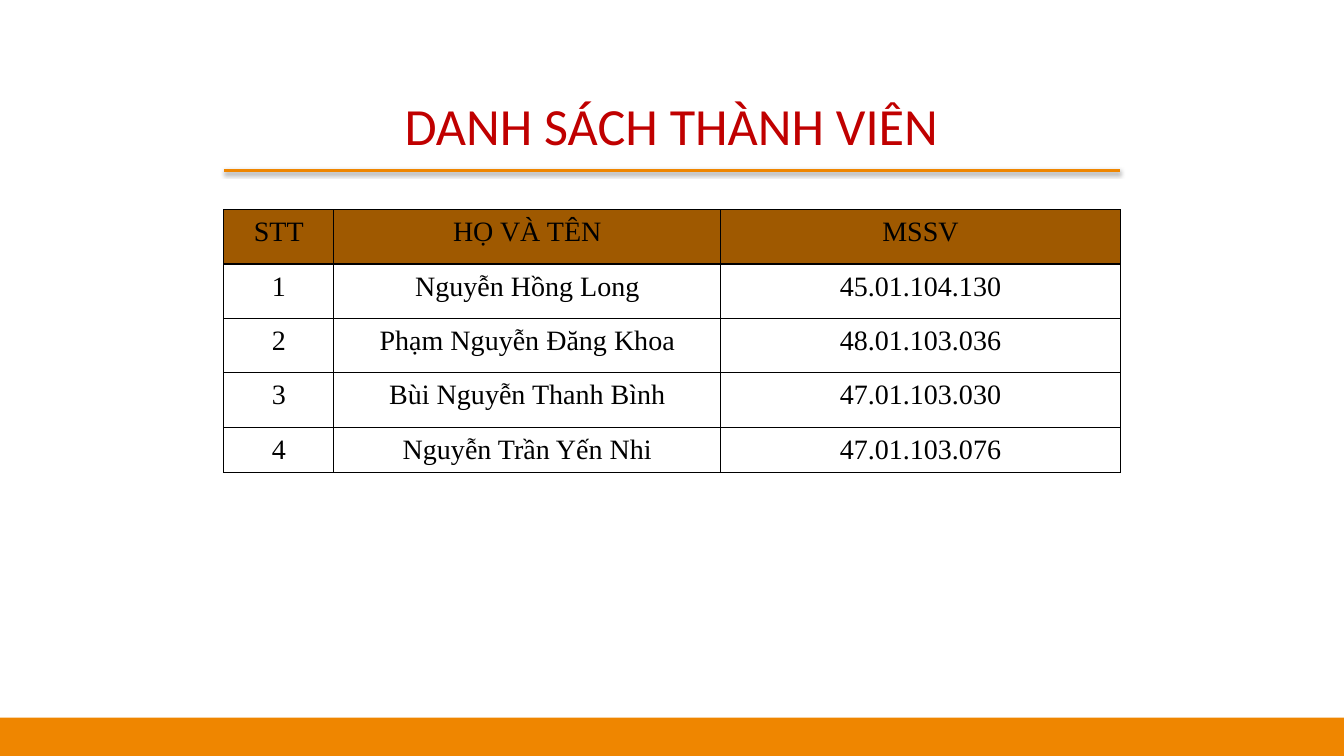
"""Build the member list slide: title, underline, table and footer band."""
import dataclasses

import lxml.etree
import pptx
import pptx.dml.color
import pptx.enum.shapes
import pptx.enum.text
import pptx.oxml
import pptx.oxml.ns
import pptx.util

Inches = pptx.util.Inches
Pt = pptx.util.Pt


@dataclasses.dataclass(frozen=True)
class Theme:
    """Colours, fonts and type sizes of the slide."""

    accent: str = "EF8600"
    header: str = "9F5900"
    title: str = "C00000"
    ink: str = "000000"
    title_font: str = "Calibri"
    table_font: str = "Times New Roman"
    title_size: float = 37.3
    table_size: float = 20


THEME = Theme()
SLIDE_WIDTH, SLIDE_HEIGHT = 13.33, 7.5
TABLE_LEFT, TABLE_TOP = 2.22, 2.08
COLUMN_WIDTHS = (1.09, 3.84, 3.96)
TABLE_WIDTH = sum(COLUMN_WIDTHS)
ROW_HEIGHTS = (0.54, 0.54, 0.54, 0.54, 0.44)
HEADINGS = ("STT", "HỌ VÀ TÊN", "MSSV")
MEMBERS = (
    ("Nguyễn Hồng Long", "45.01.104.130"),
    ("Phạm Nguyễn Đăng Khoa", "48.01.103.036"),
    ("Bùi Nguyễn Thanh Bình", "47.01.103.030"),
    ("Nguyễn Trần Yến Nhi", "47.01.103.076"),
)


def rgb(code):
    """Return the colour object for a hex code."""
    return pptx.dml.color.RGBColor.from_string(code)


def format_paragraph(para, font, size, color):
    """Centre a paragraph and set its font."""
    para.alignment = pptx.enum.text.PP_ALIGN.CENTER
    para.font.name = font
    para.font.size = Pt(size)
    para.font.bold = False
    para.font.color.rgb = rgb(color)


def set_margins(target, side, end):
    """Set the side and end margins of a text frame or cell."""
    target.margin_left = target.margin_right = Inches(side)
    target.margin_top = target.margin_bottom = Inches(end)


def add_title(page, text):
    """Place and format the slide title."""
    title = page.shapes.title
    title.left, title.top = Inches(0.45), Inches(0.62)
    title.width, title.height = Inches(12.42), Inches(1.23)
    frame = title.text_frame
    frame.text = text
    frame.auto_size = pptx.enum.text.MSO_AUTO_SIZE.NONE
    frame.vertical_anchor = pptx.enum.text.MSO_ANCHOR.MIDDLE
    set_margins(frame, 0.13, 0.13)
    format_paragraph(frame.paragraphs[0], THEME.title_font, THEME.title_size, THEME.title)


def add_borders(cell):
    """Draw a thin line on all four sides of a cell."""
    properties = cell._tc.get_or_add_tcPr()
    for side in ("lnL", "lnR", "lnT", "lnB"):
        properties.append(pptx.oxml.parse_xml(
            f'<a:{side} {pptx.oxml.ns.nsdecls("a")} w="{Pt(1)}"><a:solidFill>'
            f'<a:srgbClr val="{THEME.ink}"/></a:solidFill></a:{side}>'))


def fill_cell(cell, text, is_header):
    """Write and format one table cell."""
    cell.text = text
    set_margins(cell, 0.13, 0.07)
    format_paragraph(cell.text_frame.paragraphs[0], THEME.table_font, THEME.table_size, THEME.ink)
    add_borders(cell)
    if is_header:
        cell.fill.solid()
        cell.fill.fore_color.rgb = rgb(THEME.header)
    else:
        cell.fill.background()


def add_member_table(page):
    """Add the table of numbered members."""
    rows = [HEADINGS] + [(str(number), *member) for number, member in enumerate(MEMBERS, 1)]
    table = page.shapes.add_table(
        len(rows), len(HEADINGS), Inches(TABLE_LEFT), Inches(TABLE_TOP),
        Inches(TABLE_WIDTH), Inches(sum(ROW_HEIGHTS))).table
    table.first_row = table.horz_banding = False
    for column, width in zip(table.columns, COLUMN_WIDTHS):
        column.width = Inches(width)
    for row_index, (row, height) in enumerate(zip(rows, ROW_HEIGHTS)):
        table.rows[row_index].height = Inches(height)
        for column_index, text in enumerate(row):
            fill_cell(table.cell(row_index, column_index), text, row_index == 0)


def add_underline(page):
    """Add the shadowed line below the title."""
    top = Inches(1.69)
    line = page.shapes.add_connector(
        pptx.enum.shapes.MSO_CONNECTOR.STRAIGHT,
        Inches(TABLE_LEFT), top, Inches(TABLE_LEFT + TABLE_WIDTH), top)
    line.line.color.rgb = rgb(THEME.accent)
    line.line.width = Pt(2)
    line._element.spPr.append(pptx.oxml.parse_xml(
        f'<a:effectLst {pptx.oxml.ns.nsdecls("a")}>'
        f'<a:outerShdw blurRad="{Pt(3.1)}" dist="{Pt(1.6)}" dir="5400000" rotWithShape="0">'
        f'<a:srgbClr val="{THEME.ink}"><a:alpha val="38000"/></a:srgbClr>'
        '</a:outerShdw></a:effectLst>'))


def add_footer_band(page):
    """Add the coloured band along the bottom edge."""
    height = 0.38
    band = page.shapes.add_shape(
        pptx.enum.shapes.MSO_SHAPE.RECTANGLE, 0, Inches(SLIDE_HEIGHT - height),
        Inches(SLIDE_WIDTH), Inches(height))
    band.shadow.inherit = False
    band.fill.solid()
    band.fill.fore_color.rgb = rgb(THEME.accent)
    band.line.fill.background()


def main():
    """Build and save the deck."""
    deck = pptx.Presentation()
    deck.slide_width, deck.slide_height = Inches(SLIDE_WIDTH), Inches(SLIDE_HEIGHT)
    page = deck.slides.add_slide(deck.slide_layouts.get_by_name("Title Only"))
    add_title(page, "DANH SÁCH THÀNH VIÊN")
    add_member_table(page)
    add_underline(page)
    add_footer_band(page)
    deck.save("out.pptx")


if __name__ == "__main__":
    main()
